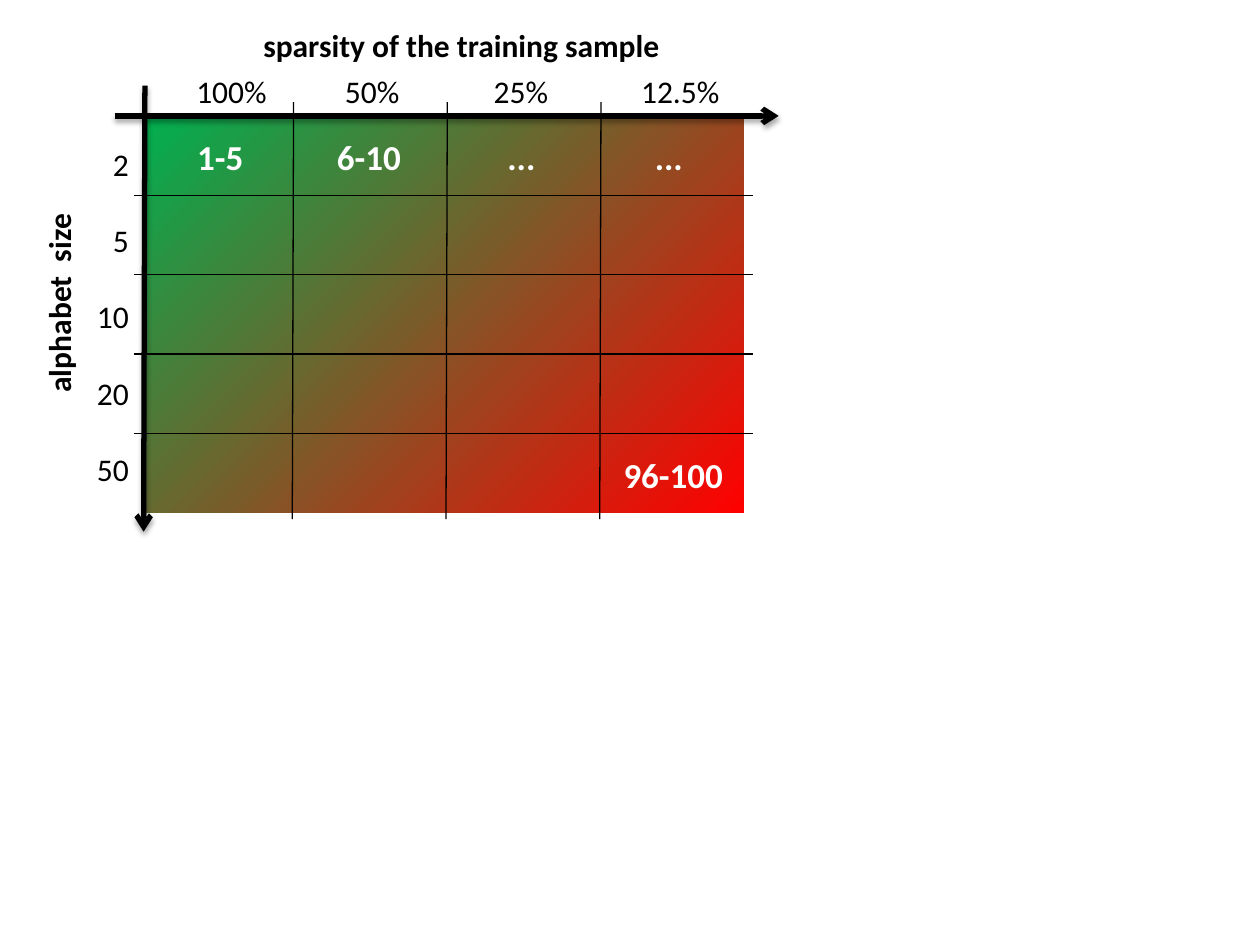
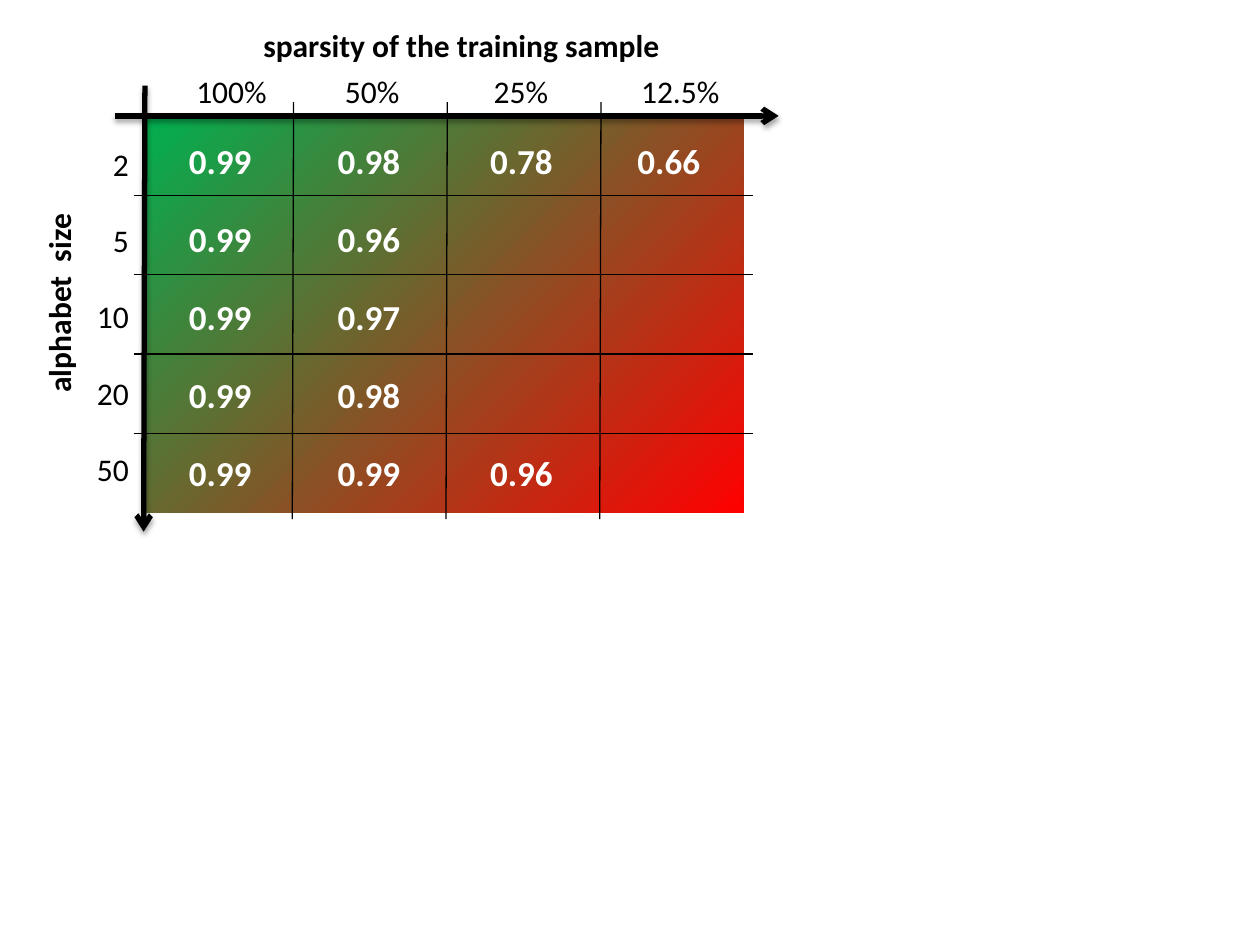
from dataclasses import dataclass

from lxml import etree
from pptx import Presentation
from pptx.dml.color import RGBColor
from pptx.enum.shapes import MSO_CONNECTOR, MSO_SHAPE
from pptx.enum.text import PP_ALIGN
from pptx.oxml.ns import qn
from pptx.util import Inches, Pt

STRAIGHT = MSO_CONNECTOR.STRAIGHT
RECTANGLE = MSO_SHAPE.RECTANGLE
LEFT, RIGHT = PP_ALIGN.LEFT, PP_ALIGN.RIGHT


@dataclass(frozen=True)
class Theme:
    font: str = "Calibri"
    ink: RGBColor = RGBColor(0, 0, 0)
    value: RGBColor = RGBColor(255, 255, 255)
    easy: RGBColor = RGBColor(0x00, 0xB0, 0x50)
    hard: RGBColor = RGBColor(0xFF, 0x00, 0x00)
    label_size: int = 18
    value_size: int = 20
    axis_width: float = 3
    grid_width: float = 0.75


THEME = Theme()

# Content shared by both slides
SPARSITY_TITLE = "sparsity of the training sample"
ALPHABET_TITLE = "alphabet  size"
SPARSITIES = ["100%", "50%", "25%", "12.5%"]
ALPHABET_SIZES = ["2", "5", "10", "20", "50"]

# Cell texts per slide: box (left, top, width, height), rows of values, line spacing
SLIDES = [
    [
        ((1.14, 1.03, 4.8, 0.44), [["", "1-5", "6-10", "...", "..."]], None),
        ((4.85, 3.55, 1.01, 0.44), [["96-100"]], None),
    ],
    [
        ((1.14, 1.08, 4.8, 2.88), [
            ["", "0.99", "0.98", "0.78", "0.66"],
            ["", "0.99", "0.96"],
            ["", "0.99", "0.97"],
            ["", "0.99", "0.98"],
            ["", "0.99", "0.99", "0.96"],
        ], 22.3),
    ],
]

# Grid, in inches
MAP_LEFT, MAP_TOP, MAP_WIDTH, MAP_HEIGHT = 1.14, 0.92, 4.76, 3.15
ROW_HEIGHT = MAP_HEIGHT / len(ALPHABET_SIZES)
FIRST_COLUMN_LINE, COLUMN_WIDTH = 2.33, 1.22
SPARSITY_TABS = [(1.18, "l"), (2.36, "l"), (3.53, "l")]
VALUE_TABS = [(0.51, "ctr"), (1.69, "ctr"), (2.9, "ctr"), (4.07, "ctr")]


def add_text(shapes, box, lines, size=THEME.label_size, color=THEME.ink, bold=False,
             align=LEFT, tabs=(), line_spacing=None, gap=0, insets=(0.1, 0.05)):
    shape = shapes.add_textbox(*map(Inches, box))
    frame = shape.text_frame
    frame.word_wrap = True
    frame.margin_left = frame.margin_right = Inches(insets[0])
    frame.margin_top = frame.margin_bottom = Inches(insets[1])
    frame.text = "\n".join(lines)
    for paragraph in frame.paragraphs:
        paragraph.alignment = align
        if tabs:
            tab_list = etree.SubElement(paragraph._p.get_or_add_pPr(), qn("a:tabLst"))
            for position, kind in tabs:
                etree.SubElement(tab_list, qn("a:tab"), pos=str(Inches(position)), algn=kind)
        if line_spacing:
            paragraph.line_spacing = Pt(line_spacing)
        if gap and paragraph is not frame.paragraphs[-1]:
            paragraph.space_after = Pt(gap)
        font = paragraph.font
        font.name, font.size, font.bold = THEME.font, Pt(size), bold
        font.color.rgb = color
    return shape


def add_line(shapes, start, end, width):
    line = shapes.add_connector(STRAIGHT, *map(Inches, (*start, *end)))
    line.line.color.rgb = THEME.ink
    line.line.width = Pt(width)
    effects = etree.SubElement(line._element.spPr, qn("a:effectLst"))
    return line, effects


def add_axis(shapes, start, end):
    line, effects = add_line(shapes, start, end, THEME.axis_width)
    etree.SubElement(line.line._get_or_add_ln(), qn("a:tailEnd"), type="arrow")
    shadow = etree.SubElement(effects, qn("a:outerShdw"), blurRad=str(Pt(3.1)),
                              dist=str(Pt(1.8)), dir="5400000", rotWithShape="0")
    color = etree.SubElement(shadow, qn("a:srgbClr"), val=str(THEME.ink))
    etree.SubElement(color, qn("a:alpha"), val="35000")


def add_difficulty_map(shapes):
    # Shaded area, green at the top left to red at the bottom right
    area = shapes.add_shape(RECTANGLE, *map(Inches, (MAP_LEFT, MAP_TOP, MAP_WIDTH, MAP_HEIGHT)))
    area.shadow.inherit = False
    area.line.fill.background()
    area.fill.gradient()
    area.fill.gradient_angle = 315
    for stop, color in zip(area.fill.gradient_stops, (THEME.easy, THEME.hard)):
        stop.color.rgb = color

    # Axes
    add_axis(shapes, (0.91, MAP_TOP), (6.18, MAP_TOP))
    add_axis(shapes, (MAP_LEFT + 0.01, 0.68), (MAP_LEFT, 4.22))

    # Grid lines
    for column in range(len(SPARSITIES) - 1):
        x = FIRST_COLUMN_LINE + column * COLUMN_WIDTH
        add_line(shapes, (x, 0.81), (x - 0.01, 4.12), THEME.grid_width)
    for row in range(1, len(ALPHABET_SIZES)):
        y = MAP_TOP + row * ROW_HEIGHT
        add_line(shapes, (1.06, y), (5.98, y), THEME.grid_width)

    # Axis titles and labels
    add_text(shapes, (2.01, 0.21, 3.43, 0.34), [SPARSITY_TITLE], bold=True, insets=(0.08, 0))
    title = add_text(shapes, (-0.37, 2.17, 1.67, 0.38), [ALPHABET_TITLE], bold=True,
                     insets=(0.08, 0.04))
    title.rotation = 270
    add_text(shapes, (1.46, 0.52, 4.46, 0.4), ["\t".join(SPARSITIES)], tabs=SPARSITY_TABS)
    add_text(shapes, (0.57, 1.1, 0.55, 2.83), ALPHABET_SIZES, align=RIGHT, gap=22)


def main():
    presentation = Presentation()
    presentation.slide_width, presentation.slide_height = Inches(10), Inches(7.5)
    blank_layout = presentation.slide_layouts[6]
    for value_boxes in SLIDES:
        slide = presentation.slides.add_slide(blank_layout)
        shapes = slide.shapes.add_group_shape().shapes
        add_difficulty_map(shapes)
        for box, rows, line_spacing in value_boxes:
            add_text(shapes, box, ["\t".join(row) for row in rows], THEME.value_size,
                     THEME.value, bold=True, tabs=VALUE_TABS, line_spacing=line_spacing,
                     gap=line_spacing)
    presentation.save("out.pptx")


if __name__ == "__main__":
    main()
